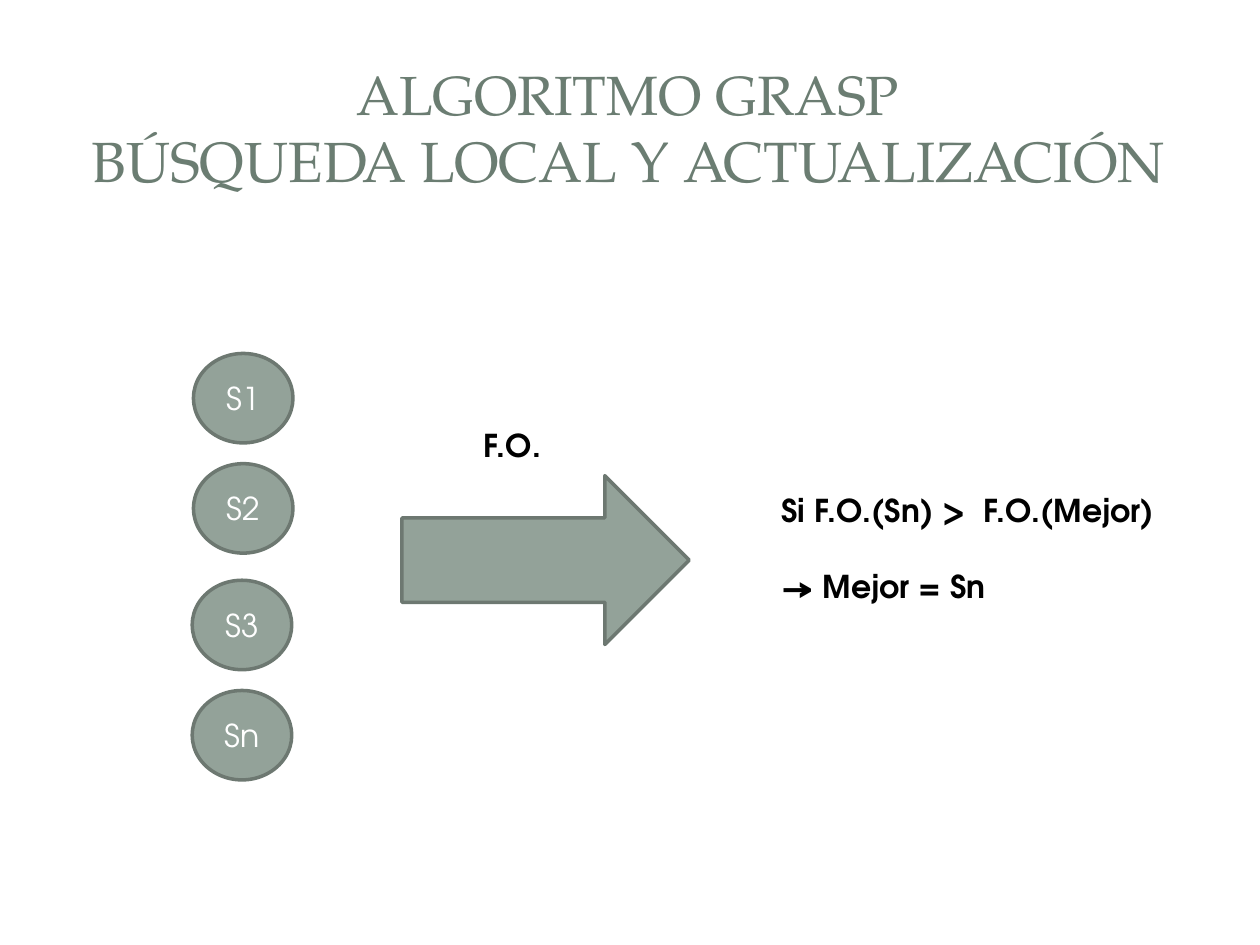
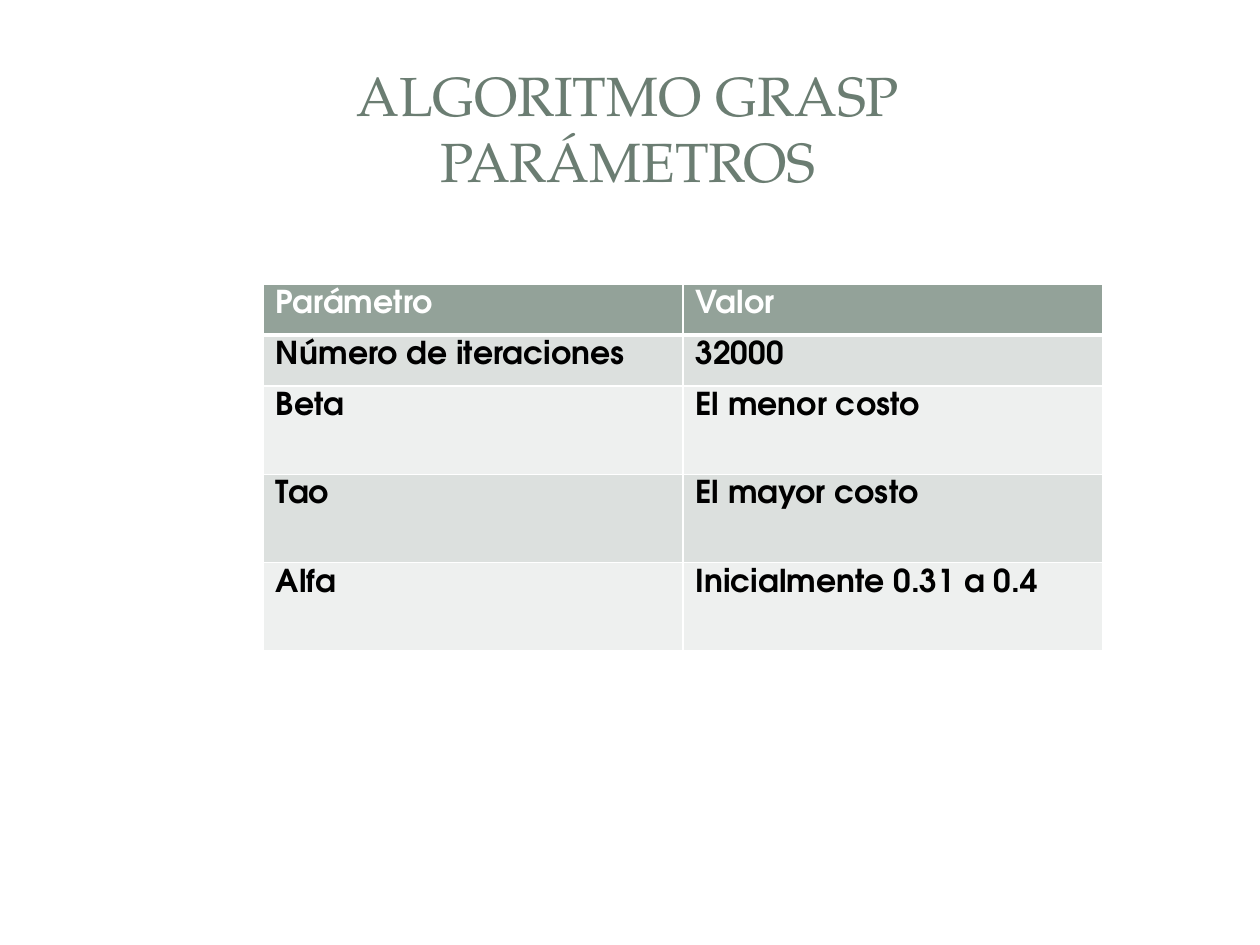
from lxml.etree import SubElement
from pptx import Presentation
from pptx.dml.color import RGBColor
from pptx.enum.shapes import MSO_SHAPE
from pptx.enum.text import MSO_ANCHOR, PP_ALIGN
from pptx.oxml.ns import qn
from pptx.util import Inches, Pt

TITLE_GREEN = RGBColor(0x6B, 0x7D, 0x72)
SAGE = RGBColor(0x93, 0xA2, 0x99)
OUTLINE = RGBColor(0x6D, 0x78, 0x71)
BAND_DARK = RGBColor(0xDC, 0xE0, 0xDE)
BAND_LIGHT = RGBColor(0xEE, 0xF0, 0xEF)
WHITE = RGBColor(0xFF, 0xFF, 0xFF)
BLACK = RGBColor(0x00, 0x00, 0x00)

TITLE_FONT = "TeX Gyre Pagella"
BODY_FONT = "TeX Gyre Adventor"
TITLE_SIZE = 31.5
BODY_SIZE = 18
COLUMNS, ROWS = 20, 15


class Deck:
    """Holds the presentation, its grid and the slide being filled."""

    def __init__(self):
        self.presentation = Presentation()
        self.presentation.slide_width = Inches(10)
        self.presentation.slide_height = Inches(7.5)
        self.column = self.presentation.slide_width / COLUMNS
        self.row = self.presentation.slide_height / ROWS
        self.slide = None

    def place(self, left, top, width, height):
        """Turn grid columns and rows into slide lengths."""
        return (round(left * self.column), round(top * self.row),
                round(width * self.column), round(height * self.row))

    def style(self, paragraph, color, bold=False, font=BODY_FONT):
        paragraph.font.name = font
        paragraph.font.bold = bold
        paragraph.font.color.rgb = color
        if font == BODY_FONT:
            paragraph.font.size = Pt(BODY_SIZE)

    def add_slide(self, subtitle, subtitle_size=TITLE_SIZE):
        """Start a slide with the shared panels and two-line title."""
        self.slide = self.presentation.slides.add_slide(
            self.presentation.slide_layouts[6])
        page = self.add_panel(MSO_SHAPE.ROUNDED_RECTANGLE,
                              (0.2, 0.22, 19.6, 14.58))
        page.adjustments[0] = 0.02
        self.add_panel(MSO_SHAPE.RECTANGLE, (0.6, 0.6, 18.8, 2.9), opacity=83)
        self.add_panel(MSO_SHAPE.RECTANGLE, (0.82, 0.82, 18.34, 2.44))
        self.add_title(subtitle, subtitle_size)

    def add_title(self, subtitle, subtitle_size):
        title = self.slide.shapes.add_textbox(*self.place(0.94, 0.88, 18.06, 2.28))
        frame = title.text_frame
        frame.word_wrap = True
        frame.vertical_anchor = MSO_ANCHOR.MIDDLE
        heading = frame.paragraphs[0]
        heading.alignment = PP_ALIGN.CENTER
        self.style(heading, TITLE_GREEN, font=TITLE_FONT)
        first = heading.add_run()
        first.text = "ALGORITMO GRASP"
        first.font.size = Pt(TITLE_SIZE)
        heading.add_line_break()
        second = heading.add_run()
        second.text = subtitle
        second.font.size = Pt(subtitle_size)

    def add_shape(self, preset, box, color):
        shape = self.slide.shapes.add_shape(preset, *self.place(*box))
        shape.shadow.inherit = False
        shape.fill.solid()
        shape.fill.fore_color.rgb = color
        return shape

    def add_panel(self, preset, box, opacity=100):
        panel = self.add_shape(preset, box, WHITE)
        panel.line.fill.background()
        if opacity < 100:
            color = panel._element.spPr.find(qn("a:solidFill"))[0]
            SubElement(color, qn("a:alpha"), val=str(opacity * 1000))
        return panel

    def add_figure(self, preset, box, label=""):
        figure = self.add_shape(preset, box, SAGE)
        figure.line.color.rgb = OUTLINE
        figure.line.width = Pt(2)
        if label:
            frame = figure.text_frame
            frame.text = label
            frame.vertical_anchor = MSO_ANCHOR.MIDDLE
            frame.paragraphs[0].alignment = PP_ALIGN.CENTER
            self.style(frame.paragraphs[0], WHITE)

    def add_note(self, box, lines, gap=0):
        note = self.slide.shapes.add_textbox(*self.place(*box))
        frame = note.text_frame
        frame.word_wrap = True
        frame.text = "\n".join(lines)
        for index, paragraph in enumerate(frame.paragraphs):
            self.style(paragraph, BLACK, bold=True)
            if index:
                paragraph.space_before = Pt(gap)

    def add_border(self, cell, side, points):
        line = SubElement(cell._tc.get_or_add_tcPr(), qn(f"a:ln{side}"),
                          w=str(Pt(points)))
        fill = SubElement(line, qn("a:solidFill"))
        SubElement(fill, qn("a:srgbClr"), val=str(WHITE))

    def add_table(self, box, records, row_heights):
        table = self.slide.shapes.add_table(
            len(records), len(records[0]), *self.place(*box)).table
        for index, (record, height) in enumerate(zip(records, row_heights)):
            table.rows[index].height = round(height * self.row)
            is_header = index == 0
            band = SAGE if is_header else BAND_DARK if index % 2 else BAND_LIGHT
            for cell, text in zip(table.rows[index].cells, record):
                cell.text = text
                self.style(cell.text_frame.paragraphs[0],
                           WHITE if is_header else BLACK, bold=True)
                for side in "LRTB":
                    below_header = (index, side) in ((0, "B"), (1, "T"))
                    self.add_border(cell, side, 3 if below_header else 1)
                cell.fill.solid()
                cell.fill.fore_color.rgb = band


def build_local_search(deck):
    deck.add_slide("BÚSQUEDA LOCAL Y ACTUALIZACIÓN", 32.4)
    deck.add_figure(MSO_SHAPE.RIGHT_ARROW, (6.38, 7.55, 4.56, 2.68))
    deck.add_note((7.48, 6.66, 1.5, 0.8), ["F.O."])
    solutions = [("S1", 3.07, 5.61), ("S2", 3.07, 7.36),
                 ("S3", 3.05, 9.21), ("Sn", 3.05, 10.96)]
    for label, left, top in solutions:
        deck.add_figure(MSO_SHAPE.OVAL, (left, top, 1.58, 1.42), label)
    deck.add_note((12.21, 7.7, 7.08, 2.62),
                  ["Si F.O.(Sn) >  F.O.(Mejor)", "→ Mejor = Sn"], gap=21.6)


def build_parameters(deck):
    deck.add_slide("PARÁMETROS")
    parameters = [
        ("Parámetro", "Valor"),
        ("Número de iteraciones", "32000"),
        ("Beta", "El menor costo"),
        ("Tao", "El mayor costo"),
        ("Alfa", "Inicialmente 0.31 a 0.4"),
    ]
    deck.add_table((4.18, 4.51, 13.32, 5.8), parameters,
                   [0.81, 0.81, 1.4, 1.4, 1.4])


def main():
    deck = Deck()
    build_local_search(deck)
    build_parameters(deck)
    deck.presentation.save("out.pptx")


if __name__ == "__main__":
    main()
